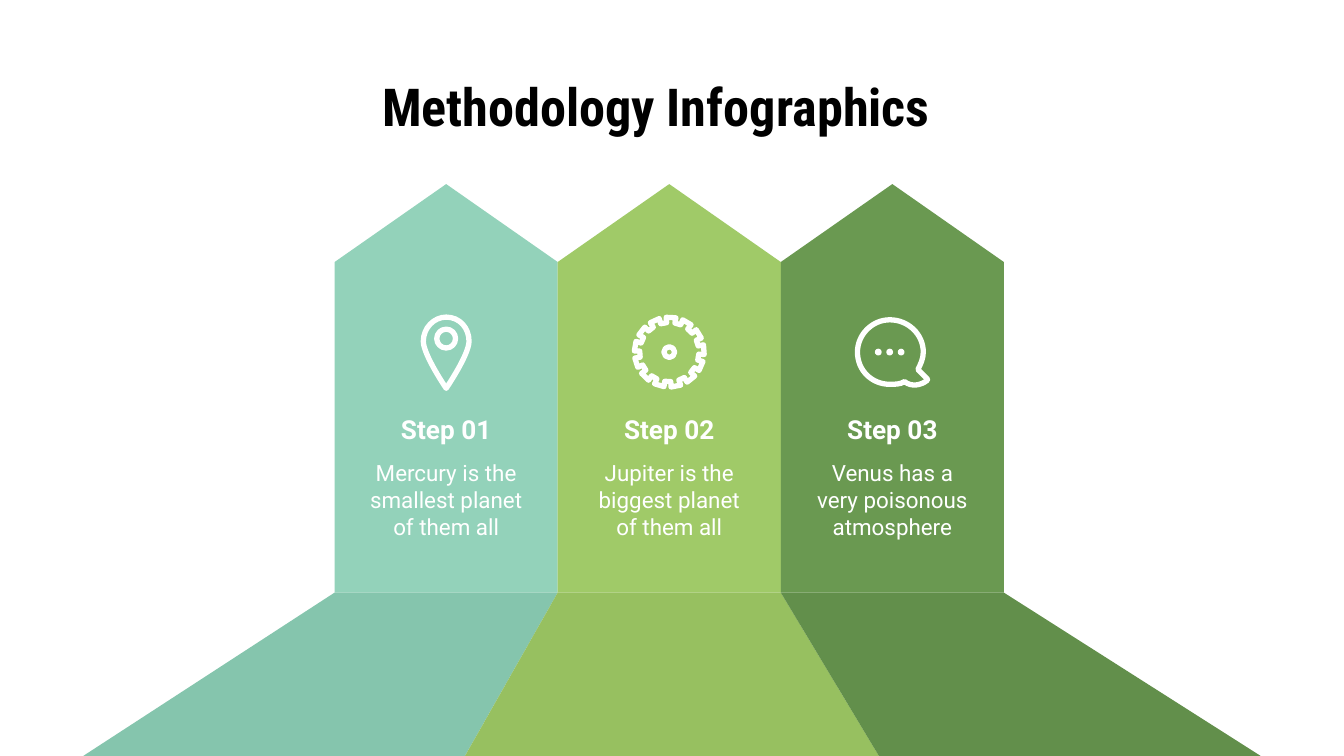
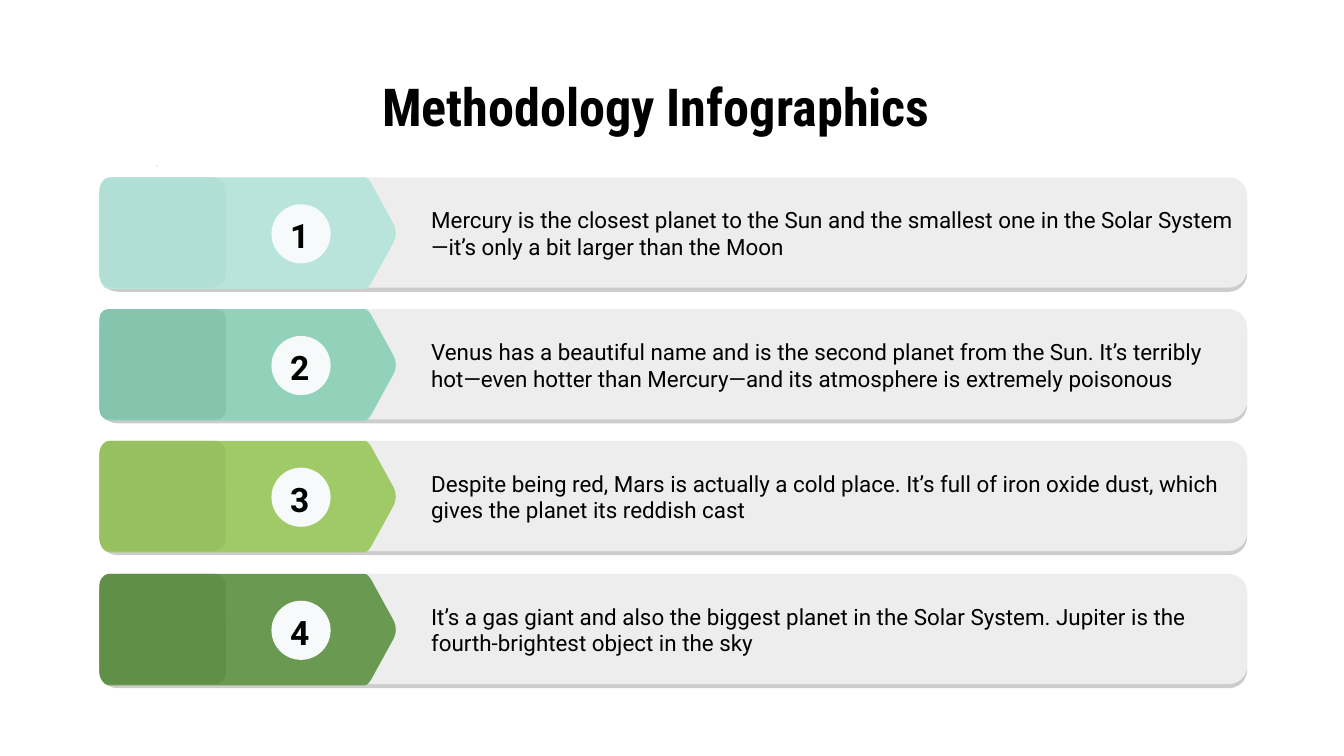
"""Two methodology slides: three rising steps and four numbered rows."""
from math import cos, radians, sin

from lxml import etree
from pptx import Presentation
from pptx import util as u
from pptx.dml.color import RGBColor
from pptx.enum import shapes, text
from pptx.oxml.ns import qn

HEX = dict(black="000000", white="FFFFFF", disc="F6FAFA", bar="EDEDED", speck="D1D3D4",
           mist="B8E4DC", mist_dark="B1DFD6", mint="93D2BA", mint_dark="85C5AD",
           lime="A0CA68", lime_dark="97C060", leaf="6A9951", leaf_dark="628F4B",
           leaf_deep="608F47")
TITLE = "Methodology Infographics"
STEPS = [
    ("Step 01", "Mercury is the smallest planet of them all", "mint", "mint_dark"),
    ("Step 02", "Jupiter is the biggest planet of them all", "lime", "lime_dark"),
    ("Step 03", "Venus has a very poisonous atmosphere", "leaf", "leaf_dark"),
]
ROWS = [
    (1.32, "Mercury is the closest planet to the Sun and the smallest one in the Solar "
     "System—it’s only a bit larger than the Moon", "mist", "mist_dark", 0.12),
    (2.3, "Venus has a beautiful name and is the second planet from the Sun. It’s terribly "
     "hot—even hotter than Mercury—and its atmosphere is extremely poisonous",
     "mint", "mint_dark", 0.08),
    (3.28, "Despite being red, Mars is actually a cold place. It’s full of iron oxide dust, "
     "which gives the planet its reddish cast", "lime", "lime_dark", 0.11),
    (4.27, "It’s a gas giant and also the biggest planet in the Solar System. Jupiter is the "
     "fourth-brightest object in the sky", "leaf", "leaf_deep", 0.1),
]

WIDE, HIGH = 10, 5.625
LEFT, COL, PEAK, EAVE, FLOOR = 2.49, 1.66, 1.37, 1.95, 4.41
FEET = [0.62, 3.46, 6.54, 9.38]
EDGE, TALL = 0.74, 0.82
STROKE = 2.83

TAG = [(0.07, 0), (0.03, 0, 0, 0.05, 0, 0.11), (0, 0.72),
       (0, 0.78, 0.03, 0.83, 0.07, 0.83), (1.97, 0.83),
       (1.99, 0.83, 2.01, 0.81, 2.02, 0.79), (2.19, 0.48),
       (2.21, 0.44, 2.21, 0.39, 2.19, 0.35), (2.02, 0.04),
       (2.01, 0.02, 1.99, 0, 1.97, 0)]
PIN = [(0, -0.26), (-0.09, -0.26, -0.17, -0.18, -0.17, -0.08),
       (-0.17, 0.02, 0, 0.27, 0, 0.27), (0, 0.27, 0.17, 0.02, 0.17, -0.08),
       (0.17, -0.18, 0.1, -0.26, 0, -0.26)]
CHAT = [(0.21, 0.13), (0.23, 0.09, 0.25, 0.05, 0.25, 0),
        (0.25, -0.13, 0.14, -0.24, 0, -0.24), (-0.13, -0.24, -0.24, -0.13, -0.24, 0),
        (-0.24, 0.14, -0.13, 0.24, 0, 0.24), (0.04, 0.24, 0.08, 0.24, 0.11, 0.22),
        (0.16, 0.26, 0.23, 0.25, 0.28, 0.21), (0.28, 0.2)]


def paint(shape, fill=None, line=None, width=0.75):
    shape.shadow.inherit = False
    if fill:
        shape.fill.solid()
        shape.fill.fore_color.rgb = RGBColor.from_string(HEX[fill])
    else:
        shape.fill.background()
    if line:
        shape.line.color.rgb = RGBColor.from_string(HEX[line])
        shape.line.width = u.Pt(width)
    else:
        shape.line.fill.background()
    return shape


def block(slide, kind, box, *look):
    return paint(slide.shapes.add_shape(kind, *map(u.Inches, box)), *look)


def disc(slide, x, y, r, *look):
    return block(slide, shapes.MSO_SHAPE.OVAL, (x - r, y - r, 2 * r, 2 * r), *look)


def polar(r, turn):
    return r * cos(radians(turn)), r * sin(radians(turn))


def ring(r, y=0):
    """Give a circle as four cubic curves."""
    k = 0.55 * r
    return [(0, y - r), (-k, y - r, -r, y - k, -r, y), (-r, y + k, -k, y + r, 0, y + r),
            (k, y + r, r, y + k, r, y), (r, y - k, k, y - r, 0, y - r)]


def outline(slide, loops, x, y, *look):
    """Draw closed loops of points and cubic curves as one shape."""
    pen = None
    for loop in loops:
        dots = [(u.Inches(x + move[n]), u.Inches(y + move[n + 1]))
                for move in loop for n in range(0, len(move), 2)]
        if pen:
            pen.move_to(*dots[0])
        else:
            pen = slide.shapes.build_freeform(*dots[0])
        pen.add_line_segments(dots[1:], close=True)
    shape = pen.convert_to_shape()
    lines = iter(list(shape.element.iter(qn("a:lnTo"))))
    for move in (move for loop in loops for move in loop[1:]):
        first = next(lines)
        if len(move) == 6:
            bend = etree.Element(qn("a:cubicBezTo"))
            first.addprevious(bend)
            for leg in (first, next(lines), next(lines)):
                bend.append(leg[0])
                leg.getparent().remove(leg)
    return paint(shape, *look)


def write(shape, words, size, tone="black", bold=False, center=True,
          face="Roboto", anchor=text.MSO_ANCHOR.MIDDLE):
    frame = shape.text_frame
    frame.word_wrap, frame.auto_size = True, text.MSO_AUTO_SIZE.NONE
    frame.vertical_anchor = anchor
    frame.margin_left = frame.margin_right = u.Inches(0.1)
    frame.margin_top = frame.margin_bottom = u.Inches(0.1)
    frame.text = words
    para = frame.paragraphs[0]
    para.alignment = text.PP_ALIGN.CENTER if center else text.PP_ALIGN.LEFT
    font = para.font
    font.name, font.size, font.bold = face, u.Pt(size), bold
    font.color.rgb = RGBColor.from_string(HEX[tone])
    for mark in shape.element.iter(qn("a:defRPr")):
        mark.set("kern", "0")


def label(slide, box, *words, **style):
    write(slide.shapes.add_textbox(*map(u.Inches, box)), *words, **style)


def start(deck):
    slide = deck.slides.add_slide(deck.slide_layouts[5])
    head = slide.shapes.title
    head.left, head.top, head.width, head.height = map(u.Inches, (0.5, 0.45, 8.76, 0.52))
    write(head, TITLE, 28, bold=True, face="Roboto Condensed", anchor=text.MSO_ANCHOR.TOP)
    return slide


def drop(shape):
    """Give a shape a hard shadow straight below it."""
    cast = etree.SubElement(shape.element.spPr.find(qn("a:effectLst")), qn("a:outerShdw"),
                            blurRad="0", dist=str(u.Pt(2.2)), dir="5400000",
                            algn="bl", rotWithShape="0")
    tone = etree.SubElement(cast, qn("a:srgbClr"), val=HEX["black"])
    etree.SubElement(tone, qn("a:alpha"), val="20000")


def pin(slide, x, y):
    outline(slide, [PIN, ring(0.07, -0.1)], x, y, None, "white", STROKE)


def gear(slide, x, y, teeth=13):
    rim = []
    for n in range(teeth):
        mid = n * 360 / teeth - 4
        rim += [polar(r, mid + turn) for r, turn in
                ((0.22, -8), (0.26, -8), (0.26, 8), (0.22, 8))]
    outline(slide, [rim, ring(0.04)], x, y, None, "white", STROKE)


def chat(slide, x, y):
    outline(slide, [CHAT], x - 0.02, y, None, "white", STROKE)
    for n in (-1, 0, 1):
        disc(slide, x - 0.02 + n * 0.085, y, 0.02, "white", "white")


def rise(slide):
    wall = [(COL / 2, PEAK), (0, EAVE), (0, FLOOR), (COL, FLOOR), (COL, EAVE)]
    for n, (name, note, tone, dark) in enumerate(STEPS):
        x = LEFT + n * COL
        outline(slide, [wall], x, 0, tone)
        ramp = [(x, FLOOR), (FEET[n], HIGH), (FEET[n + 1], HIGH), (x + COL, FLOOR)]
        outline(slide, [ramp], 0, 0, dark)
        label(slide, (x + 0.125, 3.05, 1.41, 0.28), name, 14, "white", True)
        label(slide, (x + 0.125, 3.4, 1.41, 0.63), note, 12, "white")
        (pin, gear, chat)[n](slide, x + COL / 2, 2.62)


def rows(slide):
    pad = shapes.MSO_SHAPE.ROUNDED_RECTANGLE
    for n, (y, note, tone, dark, bend) in enumerate(ROWS, 1):
        bar = block(slide, pad, (EDGE, y, 8.54, TALL), "bar")
        bar.adjustments[0] = 0.167
        drop(bar)
        outline(slide, [TAG], EDGE, y, tone)
        block(slide, pad, (EDGE, y, 0.94, TALL), dark).adjustments[0] = bend
        disc(slide, 2.24, y + 0.42, 0.22, "disc")
        label(slide, (2.04, y + 0.29, 0.38, 0.28), str(n), 18, bold=True)
        label(slide, (3.11, y + 0.1, 6.17, 0.63), note, 12, center=False)
    outline(slide, [[(0.02, 0), (0, 0), (0, 0.01)]], 1.16, 1.23, "speck")


def main():
    deck = Presentation()
    deck.slide_width, deck.slide_height = u.Inches(WIDE), u.Inches(HIGH)
    for draw in (rise, rows):
        draw(start(deck))
    deck.save("out.pptx")


if __name__ == "__main__":
    main()
